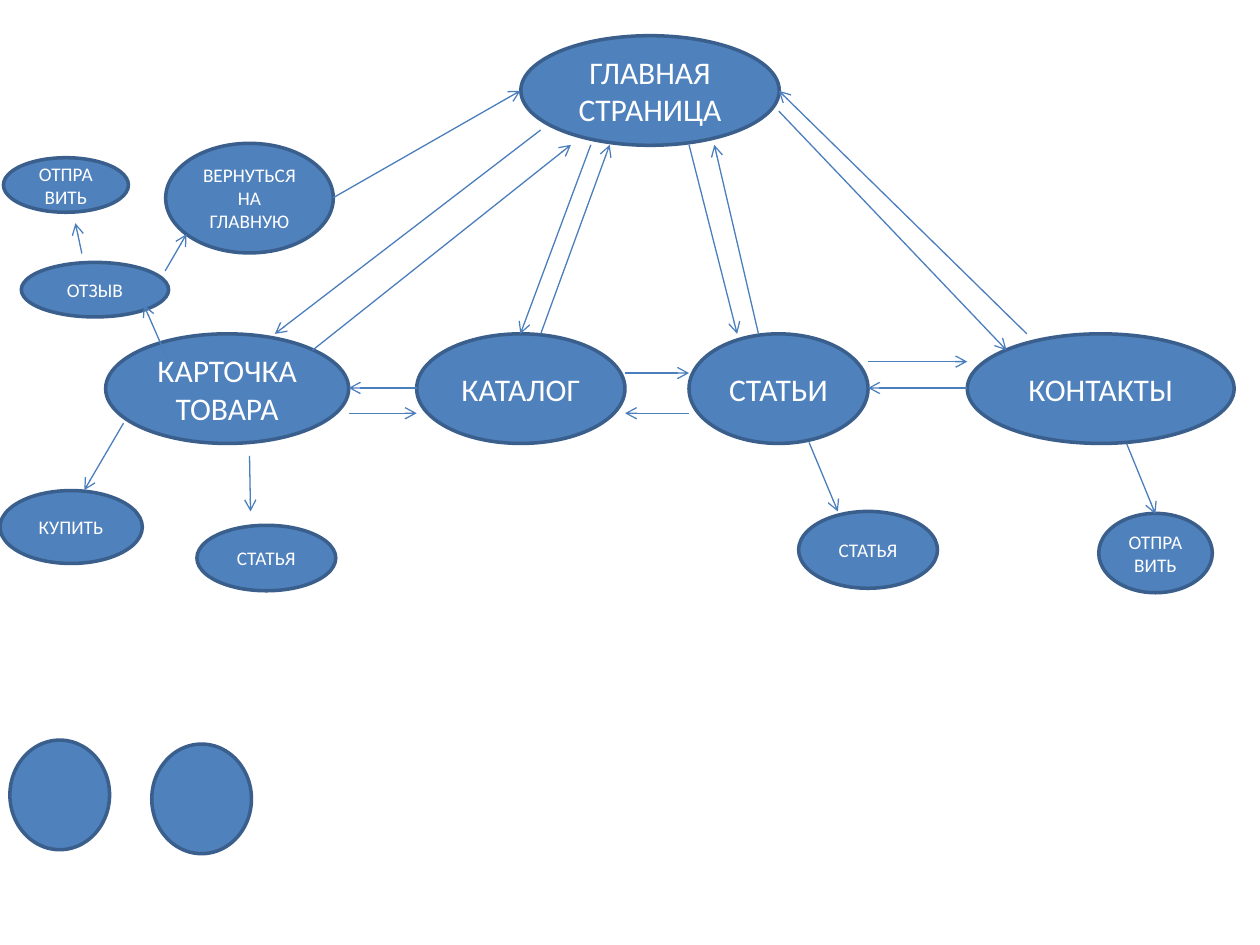
"""Draw the page map of a shop site as ovals joined by arrows."""
from pptx import Presentation
from pptx.dml.color import RGBColor
from pptx.enum.shapes import MSO_CONNECTOR, MSO_SHAPE
from pptx.enum.text import MSO_ANCHOR, PP_ALIGN
from pptx.oxml.ns import qn
from pptx.util import Cm, Pt
from lxml.etree import SubElement

BLUE = RGBColor(0x4F, 0x81, 0xBD)
EDGE = RGBColor(0x3A, 0x5F, 0x8C)
WIRE = RGBColor(0x4B, 0x7E, 0xBC)
WHITE = RGBColor(0xFF, 0xFF, 0xFF)
FONT = "Calibri"
BIG, SMALL = 18, 11

TOP, TALL = 6.73, 2.21
HOME = ("ГЛАВНАЯ СТРАНИЦА", 10.5, 0.72, 5.21, TALL)
ROW = [
    ("КАРТОЧКА ТОВАРА", 2.13, 4.9),
    ("КАТАЛОГ", 8.4, 4.2),
    ("СТАТЬИ", 13.89, 3.61),
    ("КОНТАКТЫ", 19.5, 5.38),
]
LEAVES = [
    ("КУПИТЬ", 0, 9.89, 2.87, 1.47),
    ("ОТЗЫВ", 0.43, 5.29, 2.97, 1.1),
    ("СТАТЬЯ", 3.97, 10.59, 2.8, 1.32),
    ("СТАТЬЯ", 16.1, 10.31, 2.8, 1.55),
    ("ОТПРАВИТЬ", 22.15, 10.35, 2.29, 1.6),
    ("", 0.2, 14.92, 2.01, TALL),
    ("", 3.06, 15, 2.01, TALL),
    ("ВЕРНУТЬСЯ НА ГЛАВНУЮ", 3.34, 2.89, 3.38, TALL),
    ("ОТПРАВИТЬ", 0.07, 3.18, 2.52, 1.1),
]
LINKS = [
    (6.71, 3.99, 10.49, 1.83),
    (3.4, 7.29, 2.9, 6.15),
    (1.65, 5.11, 1.52, 4.5),
    (10.9, 2.62, 5.54, TOP),
    (6.3, 7.06, 11.51, 2.92),
    (11.91, 2.92, 10.49, TOP),
    (10.9, TOP, 12.29, 2.92),
    (13.89, 2.92, 14.86, TOP),
    (15.29, TOP, 14.4, 2.92),
    (15.7, 2.24, 20.29, 7.06),
    (20.7, TOP, 15.7, 1.83),
    (22.71, 8.94, 23.29, 10.36),
    (16.31, 8.92, 16.89, 10.31),
    (3.33, 5.46, 3.76, 4.72),
    (2.49, 8.53, 1.7, 9.88),
    (5.03, 9.19, 5.05, 10.31),
]
LANES = [(8.33, 7.82), (7.52, 8.33), (7.29, 7.82)]


def write(frame, text, size=SMALL, color=WHITE, align=PP_ALIGN.CENTER):
    frame.word_wrap = True
    frame.vertical_anchor = MSO_ANCHOR.MIDDLE
    para = frame.paragraphs[0]
    para.alignment = align
    run = para.add_run()
    run.text = text
    run.font.name = FONT
    run.font.size = Pt(size)
    run.font.color.rgb = color


def oval(slide, text, *box, size=SMALL):
    shape = slide.shapes.add_shape(MSO_SHAPE.OVAL, *map(Cm, box))
    shape.shadow.inherit = False
    shape.fill.solid()
    shape.fill.fore_color.rgb = BLUE
    shape.line.color.rgb = EDGE
    shape.line.width = Pt(2)
    if text:
        write(shape.text_frame, text, size=size)


def arrow(slide, *ends):
    wire = slide.shapes.add_connector(MSO_CONNECTOR.STRAIGHT, *map(Cm, ends))
    wire.line.color.rgb = WIRE
    wire.line.width = Pt(0.75)
    line = wire._element.spPr.find(qn("a:ln"))
    SubElement(line, qn("a:tailEnd"), type="arrow")
    SubElement(wire._element.spPr, qn("a:effectLst"))


def main():
    deck = Presentation()
    deck.slide_width, deck.slide_height = Cm(25.4), Cm(19.05)
    slide = deck.slides.add_slide(deck.slide_layouts[6])

    oval(slide, *HOME, size=BIG)
    for text, left, width in ROW:
        oval(slide, text, left, TOP, width, TALL, size=BIG)
    for leaf in LEAVES:
        oval(slide, *leaf)

    for link in LINKS:
        arrow(slide, *link)
    for (_, left, width), (_, end, _), (out, back) in zip(ROW, ROW[1:], LANES):
        start = left + width
        arrow(slide, start, out, end, out)
        arrow(slide, end, back, start, back)

    deck.save("out.pptx")


if __name__ == "__main__":
    main()
